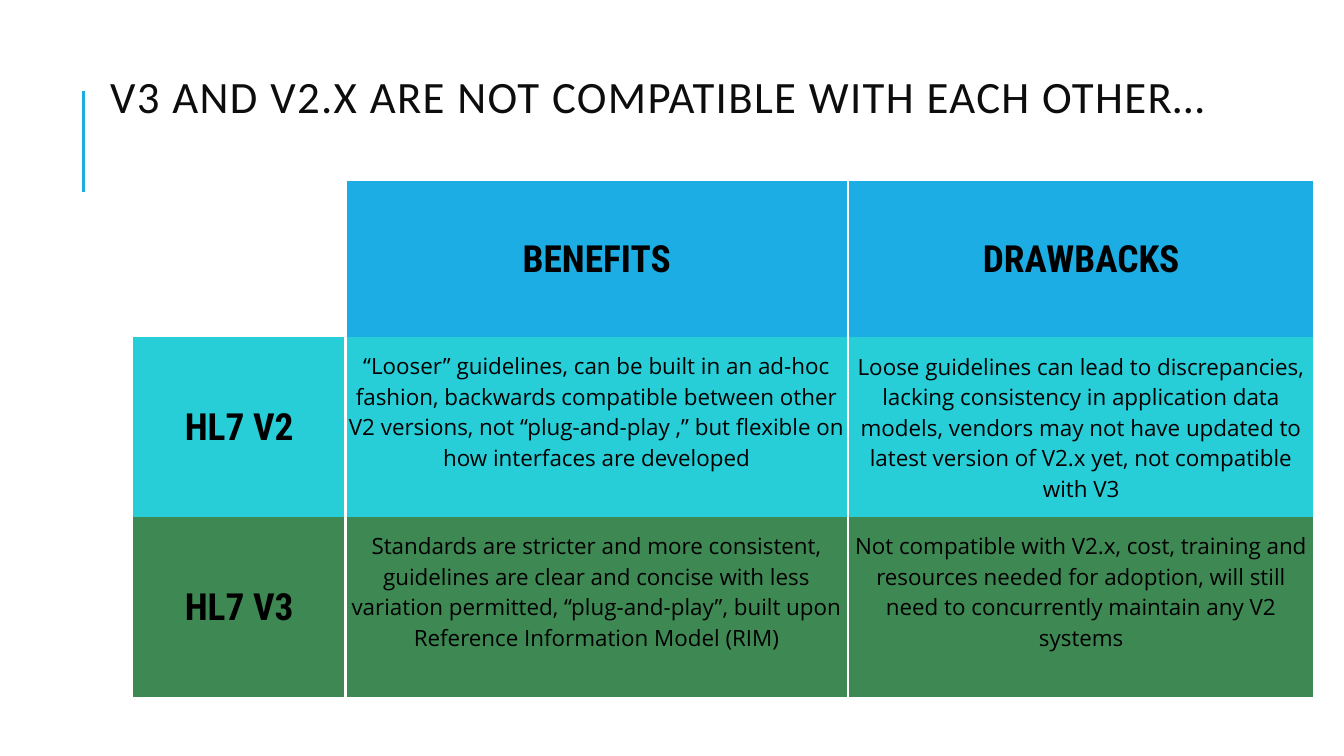
from pptx import Presentation
from pptx.dml.color import RGBColor
from pptx.enum.shapes import MSO_CONNECTOR as Connector
from pptx.enum.text import MSO_ANCHOR as Anchor, MSO_AUTO_SIZE as AutoSize, PP_ALIGN as Align
from pptx.oxml.ns import qn
from pptx.util import Inches, Pt
from lxml.etree import SubElement

BLACK = RGBColor(0x00, 0x00, 0x00)
INK = RGBColor(0x0D, 0x0D, 0x0D)
WHITE = RGBColor(0xFF, 0xFF, 0xFF)
BLUE = RGBColor(0x1C, 0xAD, 0xE4)
TURQUOISE = RGBColor(0x27, 0xCE, 0xD7)
GREEN = RGBColor(0x3E, 0x88, 0x53)

TITLE = {"name": "Calibri", "size": Pt(24), "bold": False}
HEADING = {"name": "Roboto Condensed", "size": Pt(20), "bold": True}
BODY = {"name": "Open Sans", "size": Pt(12), "bold": False}
BODY_LINE = 0.23  # height of one body line, in inches


class SlideBuilder:
    """Holds the style and the slide being built."""

    def __init__(self, slide):
        self.slide = slide

    def style(self, paragraph, look, color, align):
        paragraph.alignment = align
        for name, value in look.items():
            setattr(paragraph.runs[0].font, name, value)
        paragraph.runs[0].font.color.rgb = color

    def title(self, text, left, top, width, height):
        title = self.slide.shapes.title
        title.left, title.top = Inches(left), Inches(top)
        title.width, title.height = Inches(width), Inches(height)
        frame = title.text_frame
        frame.text = text
        settings = {"word_wrap": True, "auto_size": AutoSize.NONE, "vertical_anchor": Anchor.MIDDLE}
        settings |= {f"margin_{side}": Inches(0.1) for side in ("left", "right", "top", "bottom")}
        for name, value in settings.items():
            setattr(frame, name, value)
        self.style(frame.paragraphs[0], TITLE, INK, Align.LEFT)
        frame.paragraphs[0].runs[0].font._element.set("spc", "75")

    def line(self, x1, y1, x2, y2, color, width):
        line = self.slide.shapes.add_connector(
            Connector.STRAIGHT, Inches(x1), Inches(y1), Inches(x2), Inches(y2))
        line.line.color.rgb = color
        line.line.width = Pt(width)
        SubElement(line._element.spPr, qn("a:effectLst"))

    def borders(self, cell, white_sides):
        """White rules on the given sides, none on the others."""
        properties = cell._tc.get_or_add_tcPr()
        for position, side in enumerate(("lnL", "lnR", "lnT", "lnB")):
            border = properties.makeelement(qn(f"a:{side}"), {"w": str(Pt(1.5))})
            properties.insert(position, border)
            if side in white_sides:
                fill = SubElement(border, qn("a:solidFill"))
                SubElement(fill, qn("a:srgbClr"), val=str(WHITE))
            else:
                SubElement(border, qn("a:noFill"))

    def cell(self, cell, text, look, fill, space_below):
        for side in ("left", "right", "top"):
            setattr(cell, f"margin_{side}", 0)
        cell.margin_bottom = Inches(space_below)
        cell.vertical_anchor = Anchor.MIDDLE
        if text:
            cell.text = text
            self.style(cell.text_frame.paragraphs[0], look, BLACK, Align.CENTER)
            cell.fill.solid()
            cell.fill.fore_color.rgb = fill
        else:
            cell.fill.background()

    def table(self, rows, fills, left, top, widths, heights):
        table = self.slide.shapes.add_table(
            len(rows), len(widths), Inches(left), Inches(top),
            Inches(sum(widths)), Inches(sum(heights))).table
        table.first_row = table.horz_banding = False
        for column, width in zip(table.columns, widths):
            column.width = Inches(width)
        for row, height in zip(table.rows, heights):
            row.height = Inches(height)
        for r, (texts, fill) in enumerate(zip(rows, fills)):
            for c, text in enumerate(texts):
                is_heading = r == 0 or c == 0
                # The longest text fills its row; the others leave one line free below
                space = 0 if is_heading or (r, c) == (1, 2) else BODY_LINE
                cell = table.cell(r, c)
                self.cell(cell, text, HEADING if is_heading else BODY, fill, space)
                self.borders(cell, ("lnL", "lnR") if c else ("lnR",))


COMPARISON = [
    ("", "BENEFITS", "DRAWBACKS"),
    ("HL7 V2",
     "“Looser” guidelines, can be built in an ad-hoc fashion, backwards compatible between "
     "other V2 versions, not “plug-and-play ,” but flexible on how interfaces are developed",
     "Loose guidelines can lead to discrepancies, lacking consistency in application data "
     "models, vendors may not have updated to latest version of V2.x yet, not compatible with V3"),
    ("HL7 V3",
     "Standards are stricter and more consistent, guidelines are clear and concise with less "
     "variation permitted, “plug-and-play”, built upon Reference Information Model (RIM)",
     "Not compatible with V2.x, cost, training and resources needed for adoption, will still "
     "need to concurrently maintain any V2 systems"),
]


def main():
    deck = Presentation()
    deck.slide_width = Inches(10)
    deck.slide_height = deck.slide_width * 9 // 16
    builder = SlideBuilder(deck.slides.add_slide(deck.slide_layouts[5]))

    # Title with its accent line
    builder.line(0.62, 1.43, 0.62, 0.68, BLUE, 1.5)
    builder.title("V3 AND V2.X ARE NOT COMPATIBLE WITH EACH OTHER…", 0.72, 0.24, 9.28, 0.94)

    # Comparison of the two versions
    builder.table(COMPARISON, (BLUE, TURQUOISE, GREEN), 0.99, 1.35,
                  widths=(1.58, 3.74, 3.47), heights=(1.16, 1.34, 1.34))

    deck.save("out.pptx")


if __name__ == "__main__":
    main()
